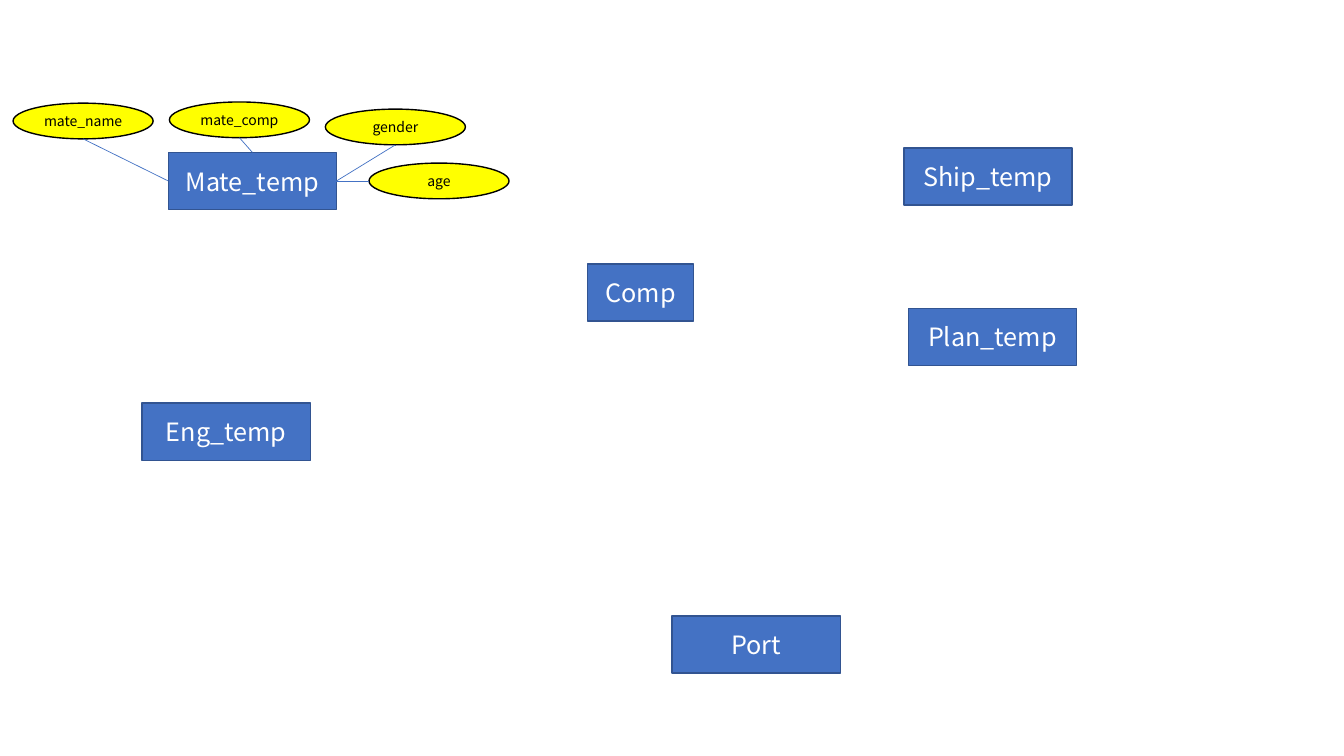
from dataclasses import dataclass

from lxml import etree
from pptx import Presentation
from pptx import util as u
from pptx.dml.color import RGBColor
from pptx.enum import shapes, text
from pptx.oxml.ns import qn


@dataclass(frozen=True)
class Theme:
    font: str = "Noto Sans CJK KR"
    entity_fill: str = "4472C4"
    entity_line: str = "325491"
    entity_text: str = "FFFFFF"
    attribute_fill: str = "FFFF00"
    attribute_ink: str = "000000"
    entity_size: float = 18
    attribute_size: float = 10
    outline: float = 1
    link_width: float = 0.5


ENTITY_WIDTH, ENTITY_HEIGHT = 4.24, 1.44
ATTRIBUTE_WIDTH, ATTRIBUTE_HEIGHT = 3.53, 0.9
# Connection sites of a rectangle
TOP, LEFT, BOTTOM, RIGHT = range(4)


def write_text(shape, content, *, font, size, color):
    frame = shape.text_frame
    frame.word_wrap = True
    frame.vertical_anchor = text.MSO_ANCHOR.MIDDLE
    frame.margin_left = frame.margin_right = 0
    paragraph = frame.paragraphs[0]
    paragraph.alignment = text.PP_ALIGN.CENTER
    run = paragraph.add_run()
    run.text = content
    run.font.name = font
    run.font.size = u.Pt(size)
    run.font.color.rgb = RGBColor.from_string(color)


def side_point(shape, side):
    middle_x = shape.left + shape.width // 2
    middle_y = shape.top + shape.height // 2
    return {
        TOP: (middle_x, shape.top),
        LEFT: (shape.left, middle_y),
        BOTTOM: (middle_x, shape.top + shape.height),
        RIGHT: (shape.left + shape.width, middle_y),
    }[side]


class Diagram:
    def __init__(self, slide, theme):
        self.slide = slide
        self.theme = theme

    def node(self, kind, label, box, fill, line, color, size):
        shape = self.slide.shapes.add_shape(kind, *map(u.Cm, box))
        shape.shadow.inherit = False
        shape.fill.solid()
        shape.fill.fore_color.rgb = RGBColor.from_string(fill)
        shape.line.color.rgb = RGBColor.from_string(line)
        shape.line.width = u.Pt(self.theme.outline)
        write_text(shape, label, font=self.theme.font, size=size, color=color)
        return shape

    def entity(self, label, left, top, width=ENTITY_WIDTH):
        theme = self.theme
        return self.node(shapes.MSO_SHAPE.RECTANGLE, label,
                         (left, top, width, ENTITY_HEIGHT), theme.entity_fill,
                         theme.entity_line, theme.entity_text, theme.entity_size)

    def attribute(self, label, left, top):
        theme = self.theme
        return self.node(shapes.MSO_SHAPE.OVAL, label,
                         (left, top, ATTRIBUTE_WIDTH, ATTRIBUTE_HEIGHT),
                         theme.attribute_fill, theme.attribute_ink,
                         theme.attribute_ink, theme.attribute_size)

    def link(self, attribute, attribute_side, entity, entity_side):
        connector = self.slide.shapes.add_connector(
            shapes.MSO_CONNECTOR.STRAIGHT,
            *side_point(attribute, attribute_side),
            *side_point(entity, entity_side))
        connector.end_connect(entity, entity_side)
        connector.line.color.rgb = RGBColor.from_string(self.theme.entity_fill)
        connector.line.width = u.Pt(self.theme.link_width)
        properties = connector._element.find(qn("p:spPr"))
        etree.SubElement(properties, qn("a:effectLst"))


presentation = Presentation()
presentation.slide_width = u.Cm(33.87)
presentation.slide_height = u.Cm(19.05)
slide = presentation.slides.add_slide(presentation.slide_layouts[6])
diagram = Diagram(slide, Theme())

# Entities
diagram.entity("Comp", 14.81, 6.65, width=2.67)
mate = diagram.entity("Mate_temp", 4.24, 3.84)
for label, left, top in [
    ("Eng_temp", 3.58, 10.16),
    ("Ship_temp", 22.78, 3.73),
    ("Plan_temp", 22.89, 7.77),
    ("Port", 16.94, 15.52),
]:
    diagram.entity(label, left, top)

# Attributes of Mate_temp, each with its link
for label, left, top, attribute_side, mate_side in [
    ("mate_name", 0.33, 2.6, BOTTOM, LEFT),
    ("mate_comp", 4.27, 2.57, BOTTOM, TOP),
    ("gender", 8.2, 2.75, BOTTOM, RIGHT),
    ("age", 9.3, 4.11, LEFT, RIGHT),
]:
    attribute = diagram.attribute(label, left, top)
    diagram.link(attribute, attribute_side, mate, mate_side)

presentation.save("out.pptx")
